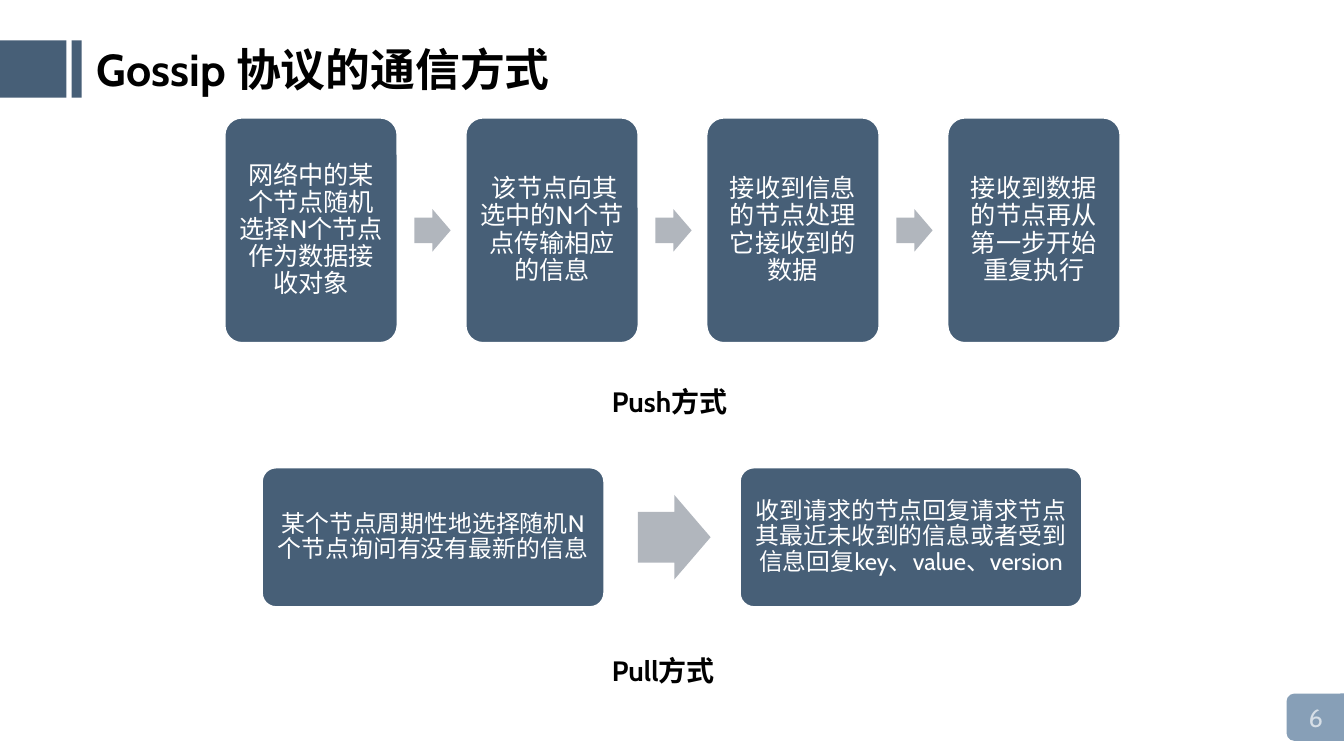
import pptx
import pptx.util
import pptx.dml.color
import pptx.enum.shapes
import pptx.enum.text

Inches = pptx.util.Inches
Kind = pptx.enum.shapes.MSO_SHAPE
Align = pptx.enum.text.PP_ALIGN
Anchor = pptx.enum.text.MSO_ANCHOR

NAVY, GREY, BLUE, PALE = "475F77", "B1B6BD", "879FB7", "D7DFE7"
WHITE, BLACK = "FFFFFF", "000000"

PUSH = [
    "网络中的某个节点随机选择N个节点作为数据接收对象",
    " 该节点向其选中的N个节点传输相应的信息",
    "接收到信息的节点处理它接收到的数据",
    "接收到数据的节点再从第一步开始重复执行",
]
PULL = [
    "某个节点周期性地选择随机N个节点询问有没有最新的信息",
    "收到请求的节点回复请求节点其最近未收到的信息或者受到信息回复key、value、version",
]


def tint(color, code):
    color.rgb = pptx.dml.color.RGBColor.from_string(code)


def place(item, x, y, w, h):
    item.left, item.top = Inches(x), Inches(y)
    item.width, item.height = Inches(w), Inches(h)


def shape(slide, kind, x, y, w, h, fill):
    item = slide.shapes.add_shape(kind, Inches(x), Inches(y), Inches(w), Inches(h))
    item.shadow.inherit = False
    item.fill.solid()
    tint(item.fill.fore_color, fill)
    item.line.fill.background()
    return item


def write(item, text, size, code, bold=False, align=Align.LEFT, anchor=Anchor.TOP):
    frame = item.text_frame
    frame.text = text
    frame.word_wrap = True
    frame.auto_size = pptx.enum.text.MSO_AUTO_SIZE.NONE
    frame.vertical_anchor = anchor
    para = frame.paragraphs[0]
    para.alignment = align
    for run in para.runs:
        run.font.name = "Cabin"
        run.font.size = pptx.util.Pt(size)
        run.font.bold = bold
        tint(run.font.color, code)
    return frame


def label(slide, text, x, y, w, h, size, code, bold=False):
    box = slide.shapes.add_textbox(Inches(x), Inches(y), Inches(w), Inches(h))
    return write(box, text, size, code, bold)


def header(slide, text, x, y, h):
    # Two bars, then the title
    for left, wide in ((x, 0.66), (x + 0.71, 0.1)):
        shape(slide, Kind.RECTANGLE, left, y, wide, h, NAVY)
    title = slide.shapes.title
    place(title, x + 0.86, y - 0.04, 6, 0.64)
    write(title, text, 32, BLACK, bold=True)


def card(slide, text, x, y, w, h, size):
    item = shape(slide, Kind.ROUNDED_RECTANGLE, x, y, w, h, NAVY)
    item.adjustments[0] = 0.1
    tint(item.line.color, WHITE)
    item.line.width = pptx.util.Pt(1)
    frame = write(item, text, size, WHITE, align=Align.CENTER, anchor=Anchor.MIDDLE)
    frame.margin_left = frame.margin_right = Inches(0.07)
    frame.margin_top = frame.margin_bottom = Inches(0.07)
    frame.paragraphs[0].line_spacing = 0.9


def flow(slide, steps, x, y, w, h, gap, size, arrow):
    # Equal cards with an arrow in each gap
    wide, high = arrow
    for i, text in enumerate(steps):
        left = x + i * (w + gap)
        card(slide, text, left, y, w, h, size)
        if i < len(steps) - 1:
            item = shape(slide, Kind.RIGHT_ARROW, left + w + gap / 4,
                         y + (h - high) / 2, wide, high, GREY)
            item.adjustments[0] = 0.6
            item.adjustments[1] = 0.5


def badge(slide, text, x, y, w, h):
    # Tab at the right edge, turned to round its left corners
    tab = shape(slide, Kind.ROUND_2_SAME_RECTANGLE, x, y, w, h, BLUE)
    tab.rotation = 270
    label(slide, text, x + 0.06, y + 0.1, 0.4, 0.4, 18, PALE)


def build():
    deck = pptx.Presentation()
    deck.slide_width, deck.slide_height = Inches(13.33), Inches(7.5)
    slide = deck.slides.add_slide(deck.slide_layouts[5])

    header(slide, "Gossip 协议的通信方式", 0, 0.4, 0.57)
    badge(slide, "6", 12.82, 6.82, 0.47, 0.59)

    # Push row
    flow(slide, PUSH, 2.23, 1.17, 1.71, 2.23, 0.68, 18, (0.36, 0.42))
    label(slide, "Push方式", 5.97, 3.77, 1.35, 0.44, 20, BLACK, bold=True)

    # Pull row
    flow(slide, PULL, 2.6, 4.64, 3.39, 1.38, 1.35, 17, (0.72, 0.84))
    label(slide, "Pull方式", 5.97, 6.43, 1.25, 0.44, 20, BLACK, bold=True)

    deck.save("out.pptx")


if __name__ == "__main__":
    build()
